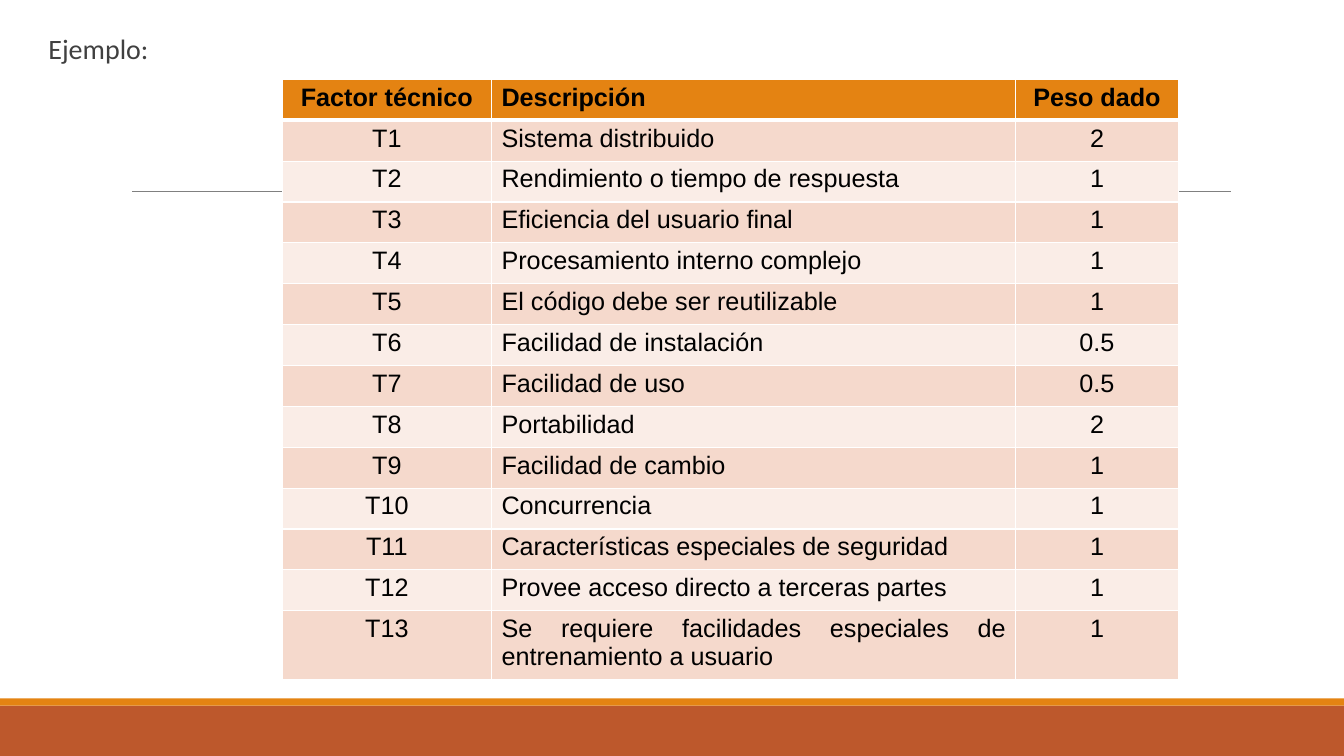
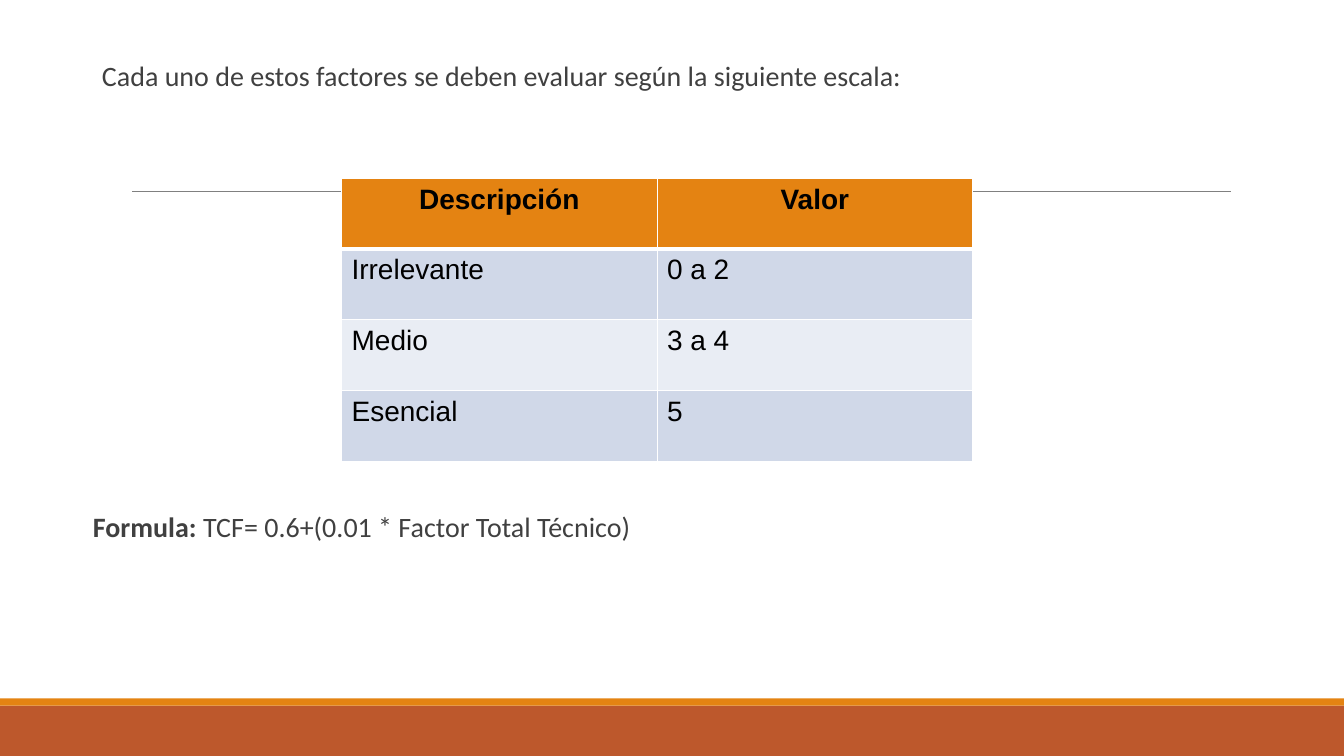
from lxml import etree
from pptx import Presentation
from pptx.dml.color import RGBColor
from pptx.enum.shapes import MSO_CONNECTOR, MSO_SHAPE
from pptx.enum.text import PP_ALIGN as Align
from pptx.oxml import parse_xml
from pptx.oxml.ns import nsdecls, qn
from pptx.util import Cm, Pt

# Shared style
ORANGE, RUST, GRAY, INK = "E48312", "BD582C", "808080", "404040"
WHITE, BLACK = "FFFFFF", "000000"
WIDTH, HEIGHT = 33.87, 19.05
BANDS = [(17.78, 1.27, RUST), (17.6, 0.18, ORANGE)]


def rgb(colour):
    return RGBColor.from_string(colour)


def add_text(slide, left, top, runs):
    box = slide.shapes.add_textbox(Cm(left), Cm(top), Cm(29), Cm(1.1))
    frame = box.text_frame
    frame.word_wrap = True
    frame.margin_left = frame.margin_right = 0
    paragraph = frame.paragraphs[0]
    paragraph.line_spacing = 0.9
    for text, bold in runs:
        run = paragraph.add_run()
        run.text = text
        run.font.name, run.font.size, run.font.bold = "Calibri", Pt(20), bold
        run.font.color.rgb = rgb(INK)


# Content of each slide
factors = [
    ("Sistema distribuido", "2"),
    ("Rendimiento o tiempo de respuesta", "1"),
    ("Eficiencia del usuario final", "1"),
    ("Procesamiento interno complejo", "1"),
    ("El código debe ser reutilizable", "1"),
    ("Facilidad de instalación", "0.5"),
    ("Facilidad de uso", "0.5"),
    ("Portabilidad", "2"),
    ("Facilidad de cambio", "1"),
    ("Concurrencia", "1"),
    ("Características especiales de seguridad", "1"),
    ("Provee acceso directo a terceras partes", "1"),
    ("Se requiere facilidades especiales de entrenamiento a usuario", "1"),
]
factor_rows = [(f"T{number}", *factor) for number, factor in enumerate(factors, 1)]

pages = [
    {
        "texts": [(1.22, 0.76, [("Ejemplo:", False)])],
        "rows": [("Factor técnico", "Descripción", "Peso dado"), *factor_rows],
        "left": 7.11, "top": 2, "widths": [5.28, 13.21, 4.09],
        "heights": [1.03] * 13 + [1.67], "margin": 0.1, "size": 18,
        "stripes": ["F5D9CC", "FAEDE7"],
        "header_align": [Align.CENTER, Align.JUSTIFY, Align.CENTER],
        "body_align": [Align.CENTER, Align.JUSTIFY, Align.CENTER],
    },
    {
        "texts": [
            (2.57, 1.45, [("Cada uno de estos factores se deben evaluar "
                           "según la siguiente escala:", False)]),
            (2.34, 12.8, [("Formula: ", True),
                          ("TCF= 0.6+(0.01 * Factor Total Técnico)", False)]),
        ],
        "rows": [("Descripción", "Valor"), ("Irrelevante", "0 a 2"),
                 ("Medio", "3 a 4"), ("Esencial", "5")],
        "left": 8.61, "top": 4.5, "widths": [7.95] * 2,
        "heights": [1.78] * 4, "margin": 0.13, "size": 20,
        "stripes": ["D0D8E8", "E9EDF4"],
        "header_align": [Align.CENTER] * 2,
        "body_align": [Align.JUSTIFY] * 2,
    },
]

presentation = Presentation()
presentation.slide_width, presentation.slide_height = Cm(WIDTH), Cm(HEIGHT)

for page in pages:
    slide = presentation.slides.add_slide(presentation.slide_layouts[6])

    # Bottom bands and thin rule
    for top, height, colour in BANDS:
        band = slide.shapes.add_shape(
            MSO_SHAPE.RECTANGLE, 0, Cm(top), Cm(WIDTH), Cm(height))
        band.shadow.inherit = False
        band.fill.solid()
        band.fill.fore_color.rgb = rgb(colour)
        band.line.fill.background()
    rule = slide.shapes.add_connector(
        MSO_CONNECTOR.STRAIGHT, Cm(3.33), Cm(4.82), Cm(31.01), Cm(4.82))
    rule.line.color.rgb = rgb(GRAY)
    rule.line.width = Pt(0.5)
    etree.SubElement(rule.element.spPr, qn("a:effectLst"))

    # Text
    for left, top, runs in page["texts"]:
        add_text(slide, left, top, runs)

    # Table
    rows, widths, heights = page["rows"], page["widths"], page["heights"]
    table = slide.shapes.add_table(
        len(rows), len(widths), Cm(page["left"]), Cm(page["top"]),
        Cm(sum(widths)), Cm(sum(heights))).table
    for column, width in zip(table.columns, widths):
        column.width = Cm(width)
    for row, height in zip(table.rows, heights):
        row.height = Cm(height)

    for row_index, texts in enumerate(rows):
        header = row_index == 0
        fill = ORANGE if header else page["stripes"][(row_index - 1) % 2]
        aligns = page["header_align" if header else "body_align"]
        borders = {"L": 1, "R": 1, "T": 3 if row_index == 1 else 1,
                   "B": 3 if header else 1}
        for column_index, text in enumerate(texts):
            cell = table.cell(row_index, column_index)
            cell.margin_left = cell.margin_right = Cm(0.25)
            cell.margin_top = cell.margin_bottom = Cm(page["margin"])
            properties = cell._tc.get_or_add_tcPr()
            for side, points in borders.items():
                properties.append(parse_xml(
                    f'<a:ln{side} {nsdecls("a")} w="{Pt(points)}"><a:solidFill>'
                    f'<a:srgbClr val="{WHITE}"/></a:solidFill></a:ln{side}>'))
            cell.fill.solid()
            cell.fill.fore_color.rgb = rgb(fill)
            cell.text_frame.text = text
            paragraph = cell.text_frame.paragraphs[0]
            paragraph.alignment = aligns[column_index]
            font = paragraph.runs[0].font
            font.name, font.size, font.bold = "Arial", Pt(page["size"]), header
            font.color.rgb = rgb(BLACK)

presentation.save("out.pptx")
